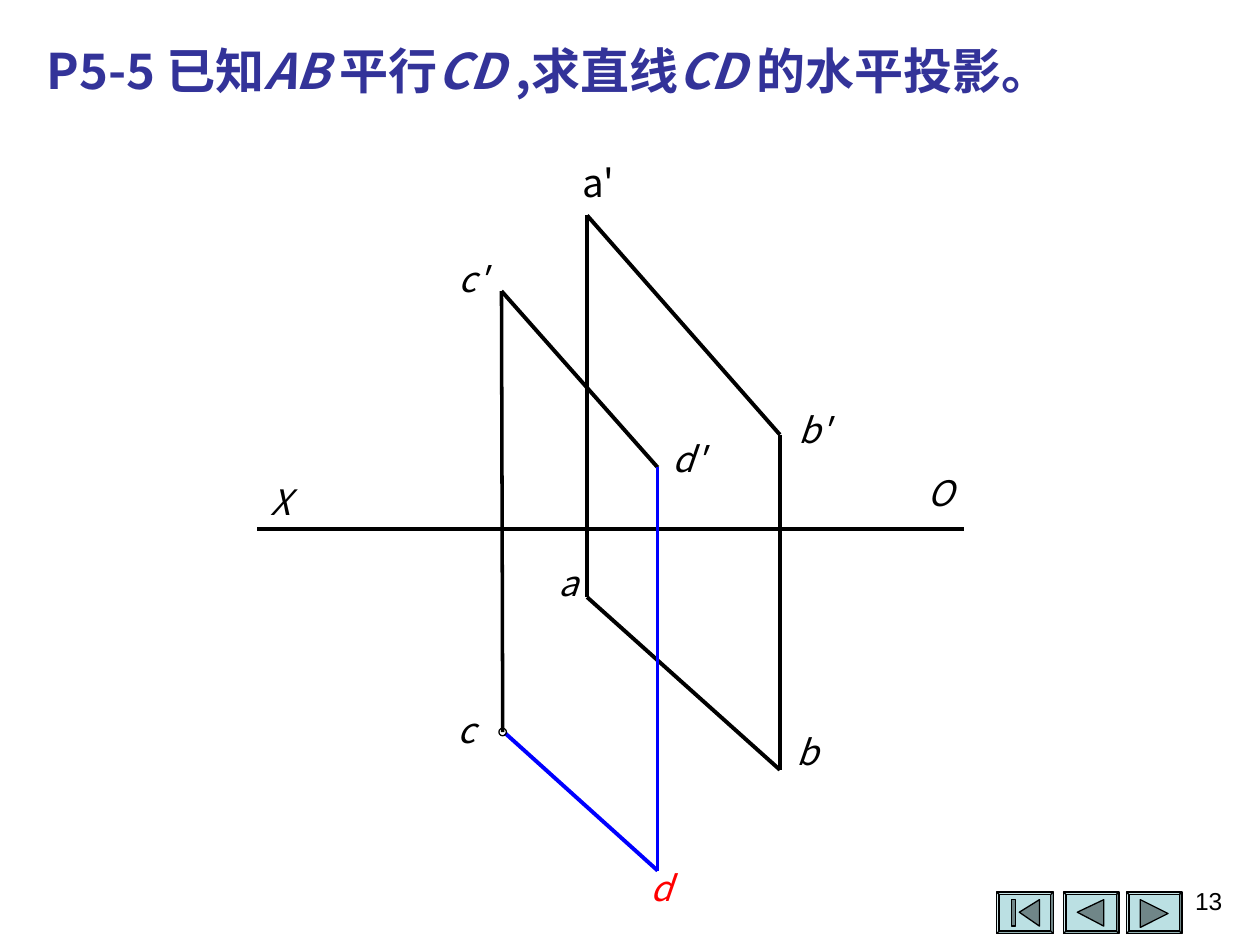
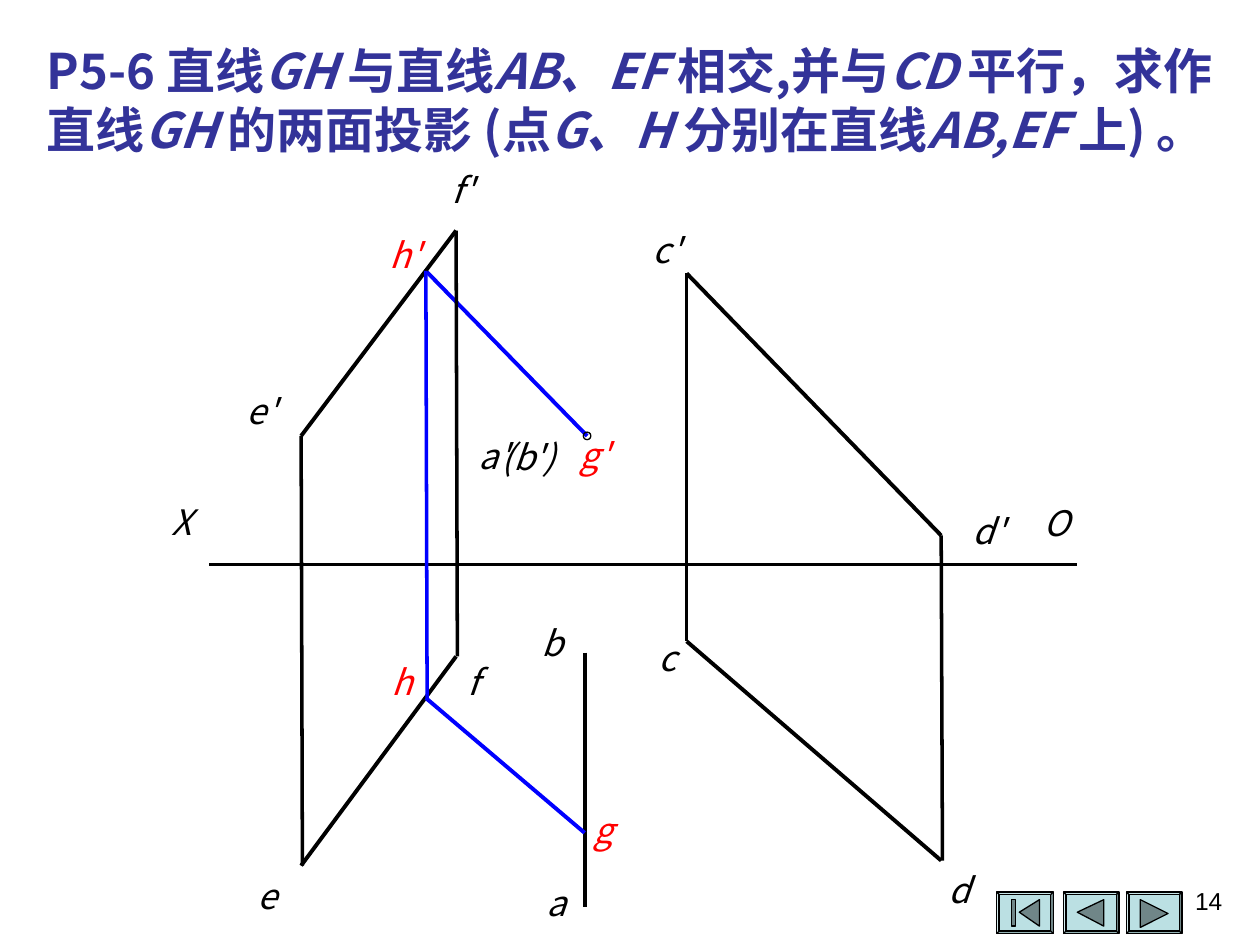
from lxml.etree import SubElement
from pptx import Presentation
from pptx.dml.color import RGBColor
from pptx.enum.shapes import MSO_CONNECTOR, MSO_SHAPE
from pptx.enum.text import MSO_ANCHOR, MSO_AUTO_SIZE, PP_ALIGN
from pptx.oxml.ns import qn
from pptx.util import Inches, Pt

BLACK = RGBColor(0x00, 0x00, 0x00)
RED = RGBColor(0xFF, 0x00, 0x00)
BLUE = RGBColor(0x00, 0x00, 0xFF)
NAVY = RGBColor(0x33, 0x33, 0x99)
AQUA = RGBColor(0xBB, 0xE0, 0xE3)
TEAL = RGBColor(0x70, 0x86, 0x88)
FONT = "Noto Sans CJK SC"
THIN, BOLD = 0, 2.25

BUTTONS = [
    (7.91, 0.45, [[(8.09, 7.24), (8.25, 7.14), (8.25, 7.35)],
                  [(8.03, 7.14), (8.06, 7.14), (8.06, 7.35), (8.03, 7.35)]]),
    (8.44, 0.44, [[(8.55, 7.24), (8.76, 7.14), (8.76, 7.35)]]),
    (8.94, 0.44, [[(9.05, 7.14), (9.27, 7.25), (9.05, 7.36)]]),
]

PAGES = [
    dict(
        num="13", size=(9.53, 0.57), dot=(3.99, 5.81),
        title=["P5-5 已知", "AB ", "平行", "CD ", ",求直线", "CD ", "的水平投影。"],
        lines=[
            (2.04, 4.2, 7.65, 4.2, BLACK, THIN),
            (6.19, 3.45, 4.66, 1.71, BLACK, BOLD),
            (5.22, 3.71, 3.98, 2.31, BLACK, BOLD),
            (4.66, 4.74, 6.19, 6.11, BLACK, BOLD),
            (4.66, 1.71, 4.66, 4.74, BLACK, THIN),
            (6.19, 3.45, 6.19, 6.11, BLACK, THIN),
            (3.98, 2.31, 3.99, 5.81, BLACK, THIN),
            (4.01, 5.82, 5.22, 6.91, BLUE, BOLD),
            (5.22, 3.71, 5.22, 6.91, BLUE, THIN),
        ],
        marks=[
            ("a", 4.43, 4.46, BLACK), ("b", 6.32, 5.8, BLACK),
            ("c", 3.63, 5.62, BLACK), ("d", 5.16, 6.88, RED),
            ("a'", 4.62, 1.26, BLACK), ("b'", 6.34, 3.24, BLACK),
            ("c'", 3.64, 2.04, BLACK), ("d'", 5.34, 3.47, BLACK),
            ("X", 2.15, 3.81, BLACK), ("O", 7.36, 3.74, BLACK),
        ],
    ),
    dict(
        num="14", size=(9.73, 1.5), dot=(4.66, 3.46),
        title=["P5-6 直线", "GH ", "与直线", "AB、EF ", "相交,并与", "CD ",
               "平行，求作直线", "GH ", "的两面投影 (点", "G、H ",
               "分别在直线", "AB,EF ", "上) 。"],
        lines=[
            (3.38, 2.15, 4.66, 3.46, BLUE, BOLD),
            (1.66, 4.48, 8.55, 4.48, BLACK, THIN),
            (5.45, 2.17, 7.47, 4.25, BLACK, BOLD),
            (5.45, 5.09, 7.47, 6.83, BLACK, BOLD),
            (4.64, 5.18, 4.64, 7.2, BLACK, BOLD),
            (3.62, 5.21, 2.39, 6.87, BLACK, BOLD),
            (2.39, 3.46, 3.62, 1.83, BLACK, BOLD),
            (3.62, 1.83, 3.63, 5.21, BLACK, THIN),
            (2.39, 3.46, 2.4, 6.87, BLACK, THIN),
            (5.45, 2.17, 5.45, 5.09, BLACK, THIN),
            (7.47, 4.25, 7.48, 6.83, BLACK, THIN),
            (3.38, 2.15, 3.39, 5.54, BLUE, THIN),
            (3.38, 5.54, 4.64, 6.61, BLUE, BOLD),
        ],
        marks=[
            ("h'", 3.09, 1.85, RED), ("g'", 4.6, 3.44, RED),
            ("(b')", 3.98, 3.46, BLACK), ("a'", 3.8, 3.45, BLACK),
            ("a", 4.34, 7, BLACK), ("b", 4.3, 4.93, BLACK),
            ("c", 5.23, 5.05, BLACK), ("d", 7.53, 6.89, BLACK),
            ("d'", 7.72, 4.04, BLACK), ("c'", 5.18, 1.81, BLACK),
            ("e", 2.04, 6.94, BLACK), ("e'", 1.96, 3.09, BLACK),
            ("f", 3.71, 5.24, BLACK), ("f'", 3.58, 1.34, BLACK),
            ("g", 4.71, 6.42, RED), ("h", 3.11, 5.24, RED),
            ("X", 1.36, 3.97, BLACK), ("O", 8.28, 3.98, BLACK),
        ],
    ),
]


def style(para, size, color, name=FONT):
    font = para.font
    font.size = Pt(size)
    font.name = name
    font.color.rgb = color
    SubElement(para._p.pPr.find(qn("a:defRPr")), qn("a:ea"), typeface=name)


def paint(shape, fill):
    shape.shadow.inherit = False
    shape.line.color.rgb = BLACK
    shape.line.width = Pt(0.75)
    if fill is None:
        shape.fill.background()
    else:
        shape.fill.solid()
        shape.fill.fore_color.rgb = fill


prs = Presentation()
prs.slide_width, prs.slide_height = Inches(10), Inches(7.5)

for page in PAGES:
    slide = prs.slides.add_slide(prs.slide_layouts[5])
    shapes = slide.shapes

    for left, width, icons in BUTTONS:
        key = shapes.add_shape(MSO_SHAPE.BEVEL, Inches(left), Inches(7.08),
                               Inches(width), Inches(0.33))
        key.adjustments[0] = 0.06
        paint(key, AQUA)
        for pts in icons:
            pts = [(Inches(x), Inches(y)) for x, y in pts]
            pen = shapes.build_freeform(*pts[0])
            pen.add_line_segments(pts[1:], close=True)
            paint(pen.convert_to_shape(), TEAL)

    title = shapes.title
    title.left = title.top = Inches(0.27)
    title.width, title.height = [Inches(v) for v in page["size"]]
    frame = title.text_frame
    frame.word_wrap = True
    frame.auto_size = MSO_AUTO_SIZE.NONE
    frame.vertical_anchor = MSO_ANCHOR.TOP
    para = frame.paragraphs[0]
    para.alignment = PP_ALIGN.LEFT
    style(para, 28, NAVY)
    para.font.bold = True
    for i, part in enumerate(page["title"]):
        run = para.add_run()
        run.text = part
        run.font.italic = i % 2 == 1

    for x1, y1, x2, y2, color, width in page["lines"]:
        line = shapes.add_connector(MSO_CONNECTOR.STRAIGHT, Inches(x1), Inches(y1),
                                    Inches(x2), Inches(y2))
        line.line.color.rgb = color
        line.line.width = Pt(width)
        SubElement(line._element.spPr, qn("a:effectLst"))

    x, y = page["dot"]
    dot = shapes.add_shape(MSO_SHAPE.OVAL, Inches(x - 0.03), Inches(y - 0.03),
                           Inches(0.06), Inches(0.06))
    paint(dot, None)
    dot.line.width = Pt(THIN)

    for text, x, y, color in page["marks"]:
        large = page["num"] == "13" and text == "a'"
        box = shapes.add_textbox(Inches(x), Inches(y), Inches(0.17 * len(text)),
                                 Inches(0.37 if large else 0.33))
        frame = box.text_frame
        frame.margin_left = frame.margin_right = 0
        frame.margin_top = frame.margin_bottom = 0
        frame.word_wrap = False
        frame.auto_size = MSO_AUTO_SIZE.SHAPE_TO_FIT_TEXT
        para = frame.paragraphs[0]
        para.text = text
        style(para, 22 if large else 20, color)
        para.font.italic = not large

    box = shapes.add_textbox(Inches(7.47), Inches(6.98), Inches(2.33), Inches(0.52))
    box.text_frame.word_wrap = True
    para = box.text_frame.paragraphs[0]
    para.text = page["num"]
    para.alignment = PP_ALIGN.RIGHT
    style(para, 14, BLACK, "Arial")

prs.save("out.pptx")
